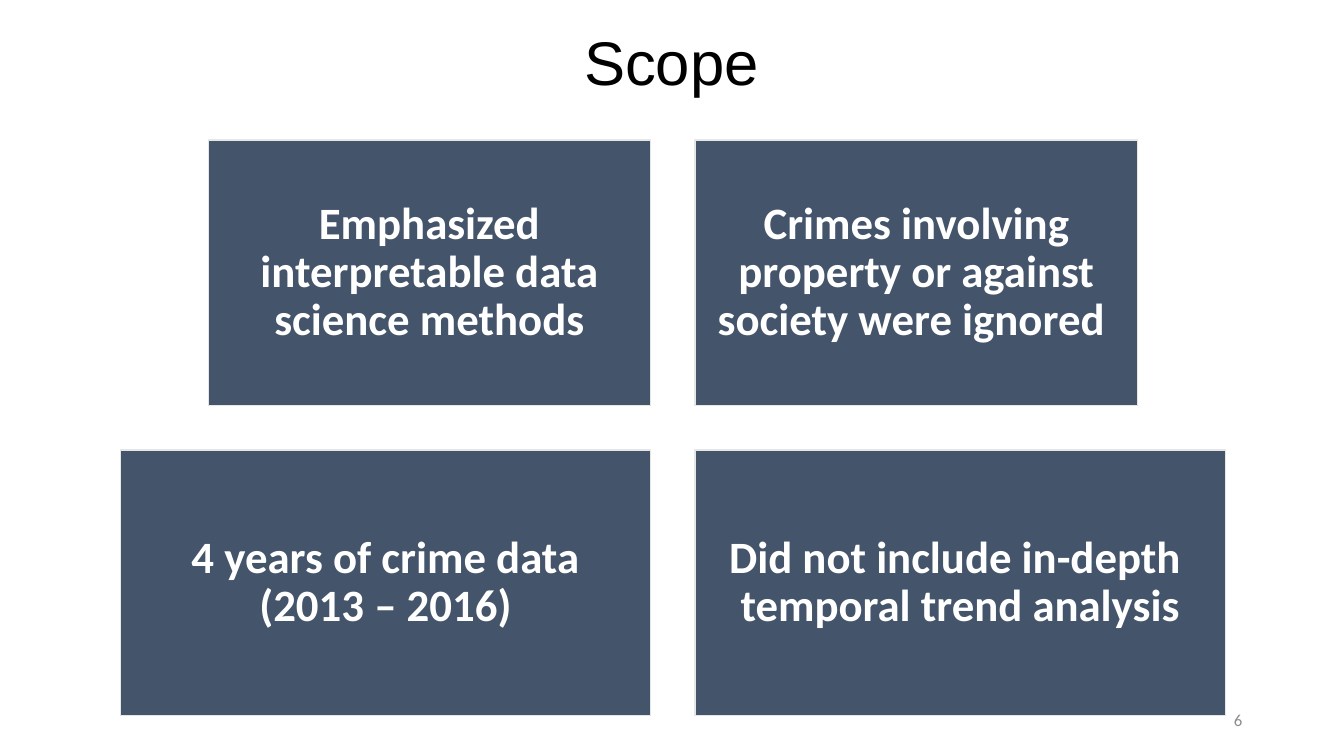
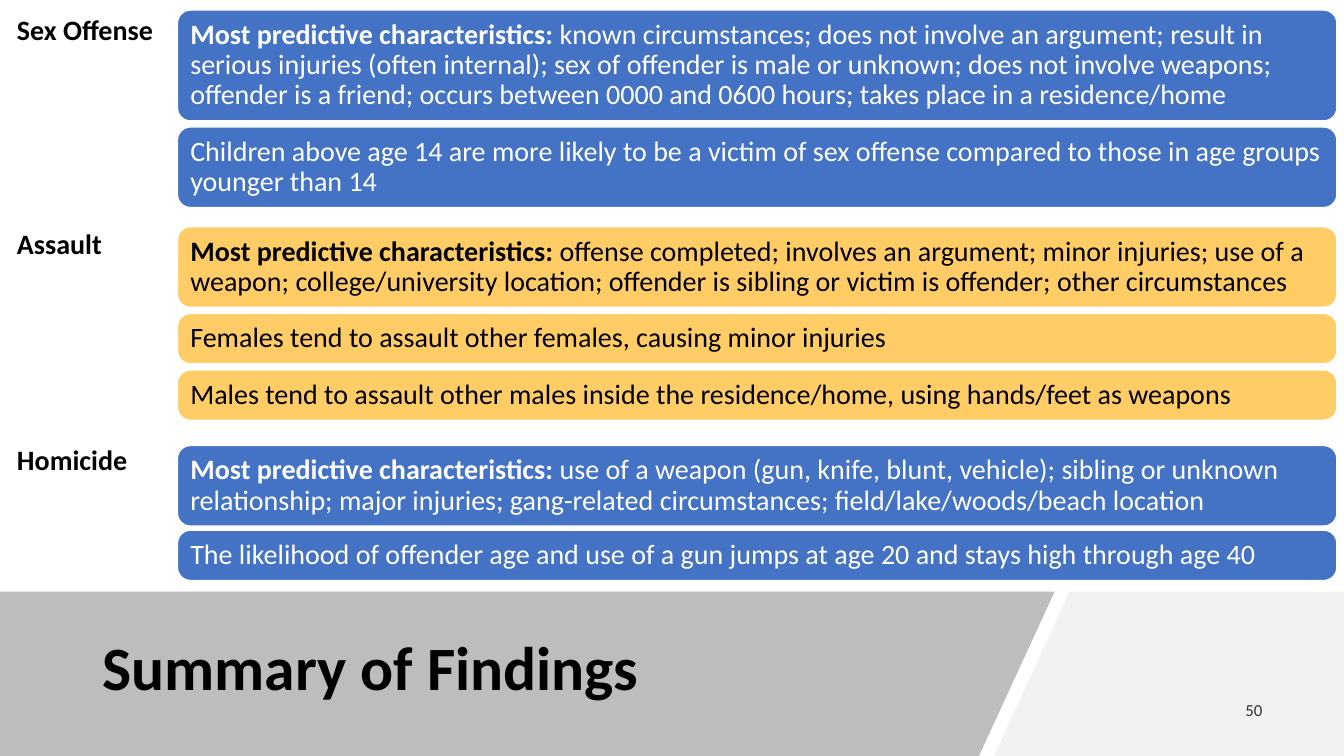
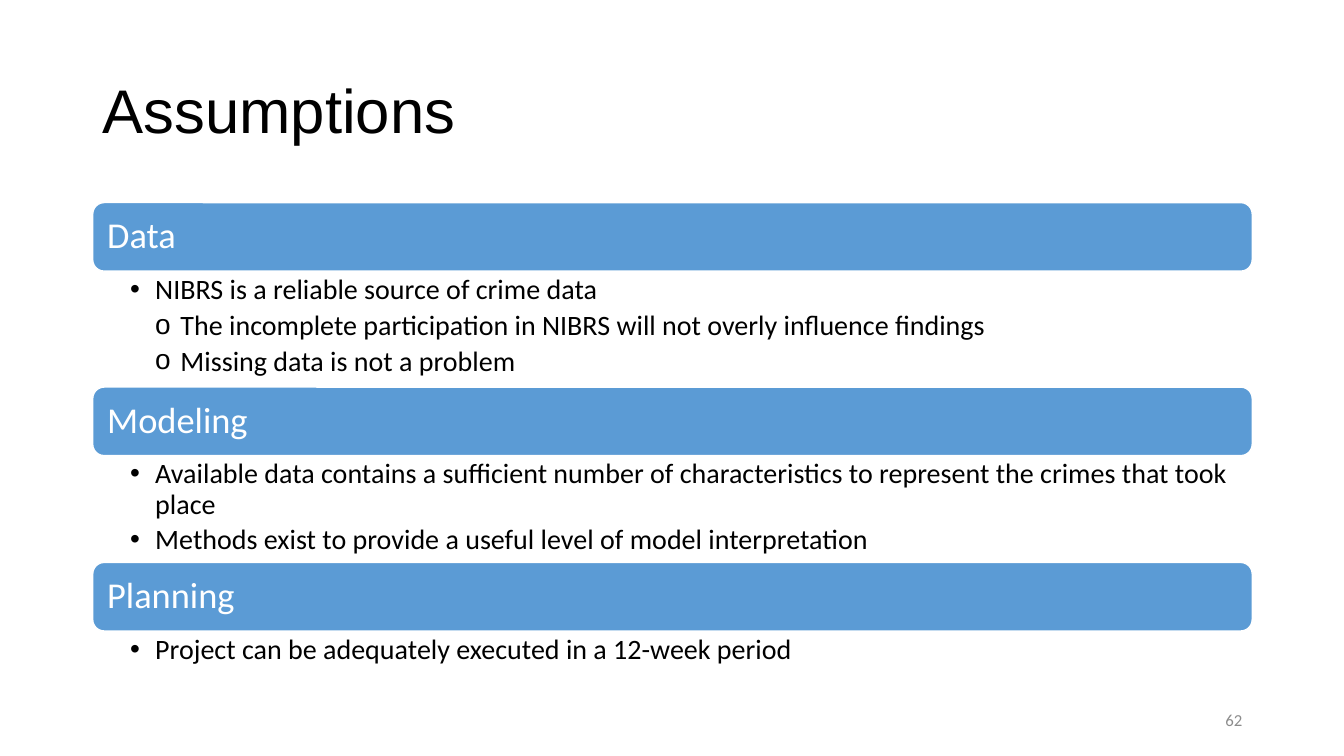
from dataclasses import dataclass

from lxml.etree import SubElement
from pptx import Presentation
from pptx.dml.color import RGBColor
from pptx.enum.shapes import MSO_SHAPE
from pptx.enum.text import MSO_ANCHOR, PP_ALIGN
from pptx.oxml.ns import qn
from pptx.util import Inches, Pt


@dataclass(frozen=True)
class Theme:
    wide: float = 13.33
    high: float = 7.5
    head: str = "Arial"
    body: str = "Calibri"
    black: str = "000000"
    white: str = "FFFFFF"
    slate: str = "44546A"
    edge: str = "E7E6E6"
    blue: str = "4472C4"
    gold: str = "FFCC66"
    sky: str = "5B9BD5"
    mist: str = "F2F2F2"
    grey: str = "BDBDBD"
    dim: str = "8C8C8C"
    dark: str = "303030"
    title: int = 44
    card: int = 32
    band: int = 26
    text: int = 20
    note: int = 12


T = Theme()
LEFT, CENTER, RIGHT = PP_ALIGN.LEFT, PP_ALIGN.CENTER, PP_ALIGN.RIGHT
MARGIN, SPAN = 0.92, 11.5
LEAD = "Most predictive characteristics: "


def color(code):
    return RGBColor.from_string(code)


def mark(para, level):
    """Give a paragraph the bullet and hanging indent of its level."""
    props = para._p.get_or_add_pPr()
    props.set("marL", str(Inches(0.25 * level)))
    props.set("indent", str(-Inches(0.25)))
    SubElement(props, qn("a:buFont"), typeface=T.head)
    SubElement(props, qn("a:buChar"), char="•" if level == 1 else "o")


def write(shape, paras, size=T.text, ink=T.black, font=T.body, bold=False,
          align=LEFT, anchor=MSO_ANCHOR.MIDDLE, pads=(0.1, 0.05, 0.1, 0.05),
          pitch=0.9, after=0, levels=()):
    """Fill a shape with paragraphs; a pair is a bold lead and plain text."""
    frame = shape.text_frame
    frame.word_wrap = True
    frame.vertical_anchor = anchor
    (frame.margin_left, frame.margin_top,
     frame.margin_right, frame.margin_bottom) = map(Inches, pads)
    for i, item in enumerate(paras):
        para = frame.add_paragraph() if i else frame.paragraphs[0]
        if levels:
            mark(para, levels[i])
        para.alignment, para.line_spacing = align, pitch
        para.space_after = Pt(after)
        parts = [(item, bold)] if isinstance(item, str) else zip(item, (True, False))
        for words, heavy in parts:
            run = para.add_run()
            run.text = words
            run.font.name, run.font.size = font, Pt(size)
            run.font.bold = heavy
            run.font.color.rgb = color(ink)


def label(slide, box, paras, **form):
    write(slide.shapes.add_textbox(*map(Inches, box)), paras, **form)


def paint(shape, fill, line=None):
    shape.shadow.inherit = False
    shape.fill.solid()
    shape.fill.fore_color.rgb = color(fill)
    if line:
        shape.line.color.rgb = color(line)
        shape.line.width = Pt(1)
    else:
        shape.line.fill.background()


def block(slide, box, fill, paras, line=T.white, round=0, **form):
    """Draw a filled box with text; round is the corner radius in inches."""
    kind = MSO_SHAPE.ROUNDED_RECTANGLE if round else MSO_SHAPE.RECTANGLE
    shape = slide.shapes.add_shape(kind, *map(Inches, box))
    if round:
        shape.adjustments[0] = round / min(box[2:])
    paint(shape, fill, line)
    write(shape, paras, **form)


def outline(slide, points, fill):
    spots = [(Inches(x), Inches(y)) for x, y in points]
    pen = slide.shapes.build_freeform(*spots[0])
    pen.add_line_segments(spots[1:], close=True)
    paint(pen.convert_to_shape(), fill)


def start(deck, title, box, number, spot=(9.42, 6.95, 3, 0.4), ink=T.dim, **form):
    """Add the title and the slide number that every slide has."""
    slide = deck.slides.add_slide(deck.slide_layouts[6])
    label(slide, box, [title], **{"size": T.title, "font": T.head, **form})
    label(slide, spot, [number], size=T.note, ink=ink, align=RIGHT)
    return slide


def cards(slide, box, rows, gap=0.44):
    """Place pairs of cards on both sides of the middle of the box."""
    left, top, wide, high = box
    mid = left + wide / 2
    tall = (high - gap * (len(rows) - 1)) / len(rows)
    for i, (width, pair) in enumerate(rows):
        y = top + i * (tall + gap)
        for x, paras in zip((mid - gap / 2 - width, mid + gap / 2), pair):
            block(slide, (x, y, width, tall), T.slate, paras, line=T.edge,
                  size=T.card, ink=T.white, bold=True, align=CENTER, pads=(0.13,) * 4)


def group(slide, box, gap, fill, ink, bars):
    """Stack bars downward, each as high as its count of lines asks."""
    left, y, wide = box
    for lines, item in bars:
        high = 0.2 + 0.3 * lines
        block(slide, (left, y, wide, high), fill, [item], round=0.13,
              ink=ink, pads=(0.09,) * 4)
        y += high + gap


def foot(slide, top):
    """Draw the two slanted panels from top to the slide's lower edge."""
    outline(slide, [(10.61, top), (T.wide, top), (T.wide, T.high), (9.86, T.high)], T.mist)
    outline(slide, [(0, top), (10.46, top), (9.71, T.high), (0, T.high)], T.grey)


def topics(slide, box, items, band=0.68):
    """Stack headed bands, each with its bullet list below."""
    left, y, wide = box
    for name, high, points in items:
        block(slide, (left, y, wide, band), T.sky, [name], round=band / 6,
              size=T.band, ink=T.white, pads=(0.11, 0.08, 0.11, 0.08))
        levels, paras = zip(*points)
        label(slide, (left, y + band, wide, high), paras, levels=levels, after=4,
              anchor=MSO_ANCHOR.TOP, pads=(0.37, 0.04, 0.2, 0.04))
        y += band + high


def scope(deck):
    slide = start(deck, "Scope", (4.27, 0.15, 4.78, 0.99), "6", align=CENTER)
    cards(slide, (1.2, 1.39, 10.95, 5.71), [
        (4.39, (["Emphasized interpretable data science methods"],
                ["Crimes involving property or against society were ignored "])),
        (5.26, (["4 years of crime data", "(2013 – 2016)"],
                ["Did not include in-depth ", "temporal trend analysis"])),
    ])


def summary(deck):
    slide = deck.slides.add_slide(deck.slide_layouts[6])
    foot(slide, 5.87)
    label(slide, (MARGIN, 6.05, 8.83, 1.2), ["Summary of Findings"],
          size=T.title, bold=True)
    label(slide, (11.15, 6.85, 1.47, 0.4), ["50"], size=T.note, ink=T.dark, align=RIGHT)
    crimes = [
        ("Sex Offense", 0.08, 0.1, 0.06, T.blue, T.white, [
            (3, (LEAD, "known circumstances; does not involve an argument; result in "
                 "serious injuries (often internal); sex of offender is male or unknown; "
                 "does not involve weapons; offender is a friend; occurs between 0000 "
                 "and 0600 hours; takes place in a residence/home")),
            (2, "Children above age 14 are more likely to be a victim of sex offense "
                "compared to those in age groups younger than 14")]),
        ("Assault", 2.2, 2.25, 0.06, T.gold, T.black, [
            (2, (LEAD, "offense completed; involves an argument; minor injuries; use of a "
                 "weapon; college/university location; offender is sibling or victim is "
                 "offender; other circumstances")),
            (1, "Females tend to assault other females, causing minor injuries"),
            (1, "Males tend to assault other males inside the residence/home, using "
                "hands/feet as weapons")]),
        ("Homicide", 4.34, 4.42, 0.04, T.blue, T.white, [
            (2, (LEAD, "use of a weapon (gun, knife, blunt, vehicle); sibling or unknown "
                 "relationship; major injuries; gang-related circumstances; "
                 "field/lake/woods/beach location")),
            (1, "The likelihood of offender age and use of a gun jumps at age 20 and "
                "stays high through age 40")]),
    ]
    for name, line, top, gap, fill, ink, bars in crimes:
        label(slide, (0.07, line, 1.69, 0.44), [name], bold=True, pitch=1,
              anchor=MSO_ANCHOR.TOP)
        group(slide, (1.76, top, SPAN), gap, fill, ink, bars)


def premise(deck):
    slide = start(deck, "Assumptions", (MARGIN, 0.4, SPAN, 1.45), "62")
    topics(slide, (MARGIN, 2.01, SPAN), [
        ("Data", 1.15, [
            (1, "NIBRS is a reliable source of crime data"),
            (2, "The incomplete participation in NIBRS will not overly influence findings"),
            (2, "Missing data is not a problem")]),
        ("Modeling", 1.06, [
            (1, "Available data contains a sufficient number of characteristics to "
                "represent the crimes that took place"),
            (1, "Methods exist to provide a useful level of model interpretation")]),
        ("Planning", 0.47, [
            (1, "Project can be adequately executed in a 12-week period")]),
    ])


def main():
    deck = Presentation()
    deck.slide_width, deck.slide_height = Inches(T.wide), Inches(T.high)
    for build in (scope, summary, premise):
        build(deck)
    deck.save("out.pptx")


if __name__ == "__main__":
    main()
